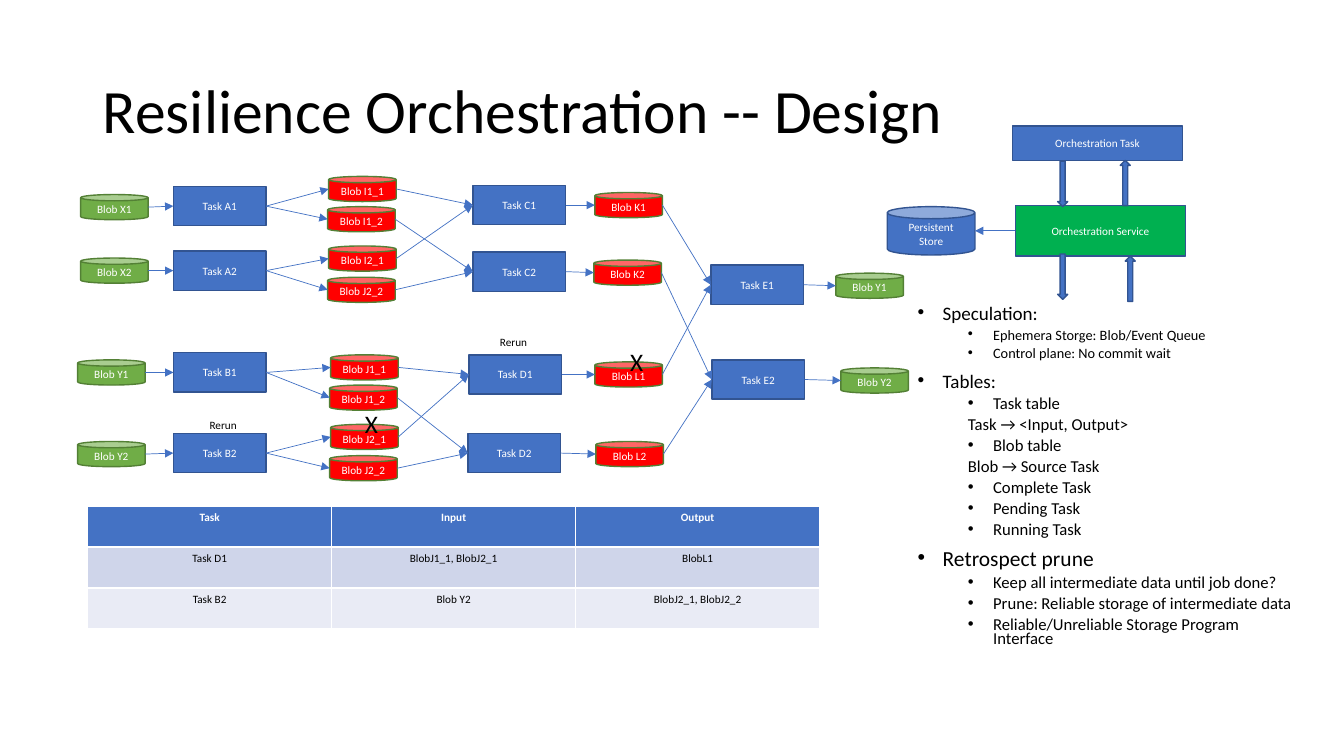
"""Builds the Resilience Orchestration design slide."""
from lxml import etree
from pptx import Presentation
from pptx.dml.color import RGBColor
from pptx.enum.shapes import MSO_CONNECTOR, MSO_SHAPE
from pptx.enum.text import MSO_ANCHOR, MSO_AUTO_SIZE, PP_ALIGN
from pptx.oxml.ns import qn
from pptx.util import Inches, Pt

RECT, CAN, DOWN = MSO_SHAPE.RECTANGLE, MSO_SHAPE.CAN, MSO_SHAPE.DOWN_ARROW
STRAIGHT = MSO_CONNECTOR.STRAIGHT
LEFT, CENTER = PP_ALIGN.LEFT, PP_ALIGN.CENTER
TOP, MIDDLE = MSO_ANCHOR.TOP, MSO_ANCHOR.MIDDLE
NO_AUTOFIT = MSO_AUTO_SIZE.NONE

FONT = "Calibri"
COLORS = {
    "black": "000000", "white": "FFFFFF", "blue": "4472C4",
    "blue_edge": "325491", "green": "70AD47", "green_edge": "538035",
    "red": "FF0000", "service": "00B050",
    "band_dark": "CFD5EA", "band_light": "E9EBF5",
}
TASK_SIZE = (0.92, 0.39)
BLOB_SIZE = (0.67, 0.25)

TASKS = {
    "A1": (1.72, 1.85), "A2": (1.72, 2.49),
    "B1": (1.72, 3.5), "B2": (1.72, 4.3),
    "C1": (4.69, 1.84), "C2": (4.69, 2.5),
    "D1": (4.65, 3.52), "D2": (4.64, 4.3),
    "E1": (7.05, 2.63), "E2": (7.06, 3.57),
}
STORED_BLOBS = {
    "in X1": (0.8, 1.93), "in X2": (0.8, 2.56),
    "in Y1": (0.77, 3.57), "in Y2": (0.77, 4.38),
    "out Y1": (8.29, 2.71), "out Y2": (8.34, 3.65),
}
INTERMEDIATE_BLOBS = {
    "A1 I1_1": (3.26, 1.75), "A1 I1_2": (3.25, 2.05),
    "A2 I2_1": (3.26, 2.44), "A2 J2_2": (3.25, 2.75),
    "B1 J1_1": (3.28, 3.52), "B1 J1_2": (3.27, 3.82),
    "B2 J2_1": (3.28, 4.21), "B2 J2_2": (3.27, 4.52),
    "C1 K1": (5.9, 1.91), "C2 K2": (5.89, 2.58),
    "D1 L1": (5.9, 3.59), "D2 L2": (5.91, 4.38),
}
TASK_INPUTS = {
    "A1": ["in X1"], "A2": ["in X2"], "B1": ["in Y1"], "B2": ["in Y2"],
    "C1": ["A1 I1_1", "A2 I2_1"], "C2": ["A1 I1_2", "A2 J2_2"],
    "D1": ["B1 J1_1", "B2 J2_1"], "D2": ["B1 J1_2", "B2 J2_2"],
    "E1": ["C1 K1", "D1 L1"], "E2": ["C2 K2", "D2 L2"],
}
FINAL_OUTPUTS = {"E1": "out Y1", "E2": "out Y2"}

TABLE_ROWS = [
    ("Task", "Input", "Output"),
    ("Task D1", "BlobJ1_1, BlobJ2_1", "BlobL1"),
    ("Task B2", "Blob Y2", "BlobJ2_1, BlobJ2_2"),
]
HEADING, ITEM, PLAIN = "heading", "item", "plain"
INDENTS = {HEADING: (0.25, -0.25), ITEM: (0.75, -0.25), PLAIN: (0.5, 0)}
NOTES = [
    (HEADING, "Speculation:", 13.6),
    (ITEM, "Ephemera Storge: Blob/Event Queue", 10.2),
    (ITEM, "Control plane: No commit wait", 10.2),
    (HEADING, "Tables:", 13.6),
    (ITEM, "Task table", 11.9),
    (PLAIN, "Task → <Input, Output>", 11.9),
    (ITEM, "Blob table", 11.9),
    (PLAIN, "Blob → Source Task", 11.9),
    (ITEM, "Complete Task", 11.9),
    (ITEM, "Pending Task", 11.9),
    (ITEM, "Running Task", 11.9),
    (HEADING, "Retrospect prune", 15.3),
    (ITEM, "Keep all intermediate data until job done?", 11.9),
    (ITEM, "Prune: Reliable storage of intermediate data", 11.9),
    (ITEM, "Reliable/Unreliable Storage Program Interface", 11.9),
]


def color(name):
    """Return the named palette colour."""
    return RGBColor.from_string(COLORS[name])


def style_text(paragraph, size, ink, align=LEFT, bold=False):
    """Format a whole paragraph."""
    paragraph.alignment = align
    font = paragraph.font
    font.name, font.size, font.bold = FONT, Pt(size), bold
    font.color.rgb = color(ink)


def place(shape, x, y, width, height):
    """Move and size a shape in inches."""
    shape.left, shape.top = Inches(x), Inches(y)
    shape.width, shape.height = Inches(width), Inches(height)


def add_node(slide, kind, box, fill, edge="blue_edge", text=""):
    """Add a filled, outlined shape with an optional centred label."""
    node = slide.shapes.add_shape(kind, *map(Inches, box))
    node.shadow.inherit = False
    node.fill.solid()
    node.fill.fore_color.rgb = color(fill)
    node.line.color.rgb = color(edge)
    node.line.width = Pt(1)
    if text:
        node.text_frame.text = text
        node.text_frame.vertical_anchor = MIDDLE
        style_text(node.text_frame.paragraphs[0], 8, "white", CENTER)
    return node


def add_arrow(slide, start, end):
    """Draw a thin arrow between two points."""
    arrow = slide.shapes.add_connector(STRAIGHT, *start, *end)
    arrow.line.color.rgb = color("blue")
    arrow.line.width = Pt(0.5)
    etree.SubElement(arrow.line._get_or_add_ln(), qn("a:tailEnd"), type="triangle")
    etree.SubElement(arrow._element.spPr, qn("a:effectLst"))


def left_side(node):
    """Return the middle of a node's left edge."""
    return node.left, node.top + node.height // 2


def right_side(node):
    """Return the middle of a node's right edge."""
    return node.left + node.width, node.top + node.height // 2


def add_label(slide, text, box, size):
    """Add a plain text label."""
    label = slide.shapes.add_textbox(*map(Inches, box))
    label.text_frame.word_wrap = True
    label.text_frame.text = text
    style_text(label.text_frame.paragraphs[0], size, "black")


def add_task_graph(slide):
    """Draw tasks, blobs and the data flow between them."""
    tasks = {key: add_node(slide, RECT, spot + TASK_SIZE, "blue", text=f"Task {key}")
             for key, spot in TASKS.items()}
    blobs = {}
    for group, fill in ((STORED_BLOBS, "green"), (INTERMEDIATE_BLOBS, "red")):
        for key, spot in group.items():
            owner, name = key.split()
            blobs[key] = add_node(slide, CAN, spot + BLOB_SIZE, fill, "green_edge",
                                  f"Blob {name}")
            if owner in tasks:
                add_arrow(slide, right_side(tasks[owner]), left_side(blobs[key]))
    for task, inputs in TASK_INPUTS.items():
        for blob in inputs:
            add_arrow(slide, right_side(blobs[blob]), left_side(tasks[task]))
    for task, blob in FINAL_OUTPUTS.items():
        add_arrow(slide, right_side(tasks[task]), left_side(blobs[blob]))
    for x, y in ((6.15, 3.39), (3.52, 4)):
        add_label(slide, "X", (x, y, 0.29, 0.4), 18)
    for x, y in ((4.86, 3.28), (1.98, 4.1)):
        add_label(slide, "Rerun", (x, y, 0.71, 0.24), 8)


def add_orchestration(slide):
    """Draw the orchestration service with its task and store."""
    add_node(slide, RECT, (10.04, 1.25, 1.69, 0.34), "blue", text="Orchestration Task")
    service = add_node(slide, RECT, (10.07, 2.04, 1.69, 0.5), "service",
                       text="Orchestration Service")
    store = add_node(slide, CAN, (8.8, 2.05, 0.87, 0.48), "blue", text="Persistent Store")
    for x, y, turn in ((10.49, 1.6, 0), (10.49, 2.52, 0),
                       (11.16, 2.54, 180), (11.11, 1.59, 180)):
        add_node(slide, DOWN, (x, y, 0.1, 0.45), "blue").rotation = turn
    add_arrow(slide, left_side(service), right_side(store))


def add_task_table(slide):
    """Add the table of rerun tasks with their inputs and outputs."""
    box = map(Inches, (0.87, 5.02, 7.26, 1.22))
    table = slide.shapes.add_table(len(TABLE_ROWS), len(TABLE_ROWS[0]), *box).table
    for r, (row, fill) in enumerate(zip(TABLE_ROWS, ("blue", "band_dark", "band_light"))):
        for c, text in enumerate(row):
            cell = table.cell(r, c)
            cell.text = text
            cell.fill.solid()
            cell.fill.fore_color.rgb = color(fill)
            style_text(cell.text_frame.paragraphs[0], 8,
                       "black" if r else "white", CENTER, r == 0)


def fill_notes(body):
    """Write the bulleted design notes into the body placeholder."""
    place(body, 9, 3, 3.94, 3.76)
    frame = body.text_frame
    frame.auto_size = NO_AUTOFIT
    frame.vertical_anchor = TOP
    frame.text = "\n".join(text for _, text, _ in NOTES)
    for paragraph, (kind, _, size) in zip(frame.paragraphs, NOTES):
        paragraph.level = 0 if kind == HEADING else 1
        paragraph.line_spacing = 0.7
        paragraph.space_before = Pt(10 if kind == HEADING else 5)
        style_text(paragraph, size, "black")
        margin, indent = INDENTS[kind]
        props = paragraph._p.get_or_add_pPr()
        props.set("marL", str(Inches(margin)))
        props.set("indent", str(Inches(indent)))
        if kind == PLAIN:
            etree.SubElement(props, qn("a:buNone"))
        else:
            etree.SubElement(props, qn("a:buFont"), typeface="Arial")
            etree.SubElement(props, qn("a:buChar"), char="•")
        props.append(props.find(qn("a:defRPr")))


def main():
    """Build and save the slide."""
    deck = Presentation()
    deck.slide_width, deck.slide_height = Inches(13.33), Inches(7.5)
    slide = deck.slides.add_slide(deck.slide_layouts[1])
    title, body = slide.placeholders
    place(title, 0.92, 0.4, 11.5, 1.45)
    title.text_frame.text = "Resilience Orchestration -- Design"
    title.text_frame.vertical_anchor = MIDDLE
    title.text_frame.paragraphs[0].line_spacing = 0.9
    style_text(title.text_frame.paragraphs[0], 44, "black")
    add_task_graph(slide)
    add_task_table(slide)
    fill_notes(body)
    add_orchestration(slide)
    deck.save("out.pptx")


if __name__ == "__main__":
    main()
